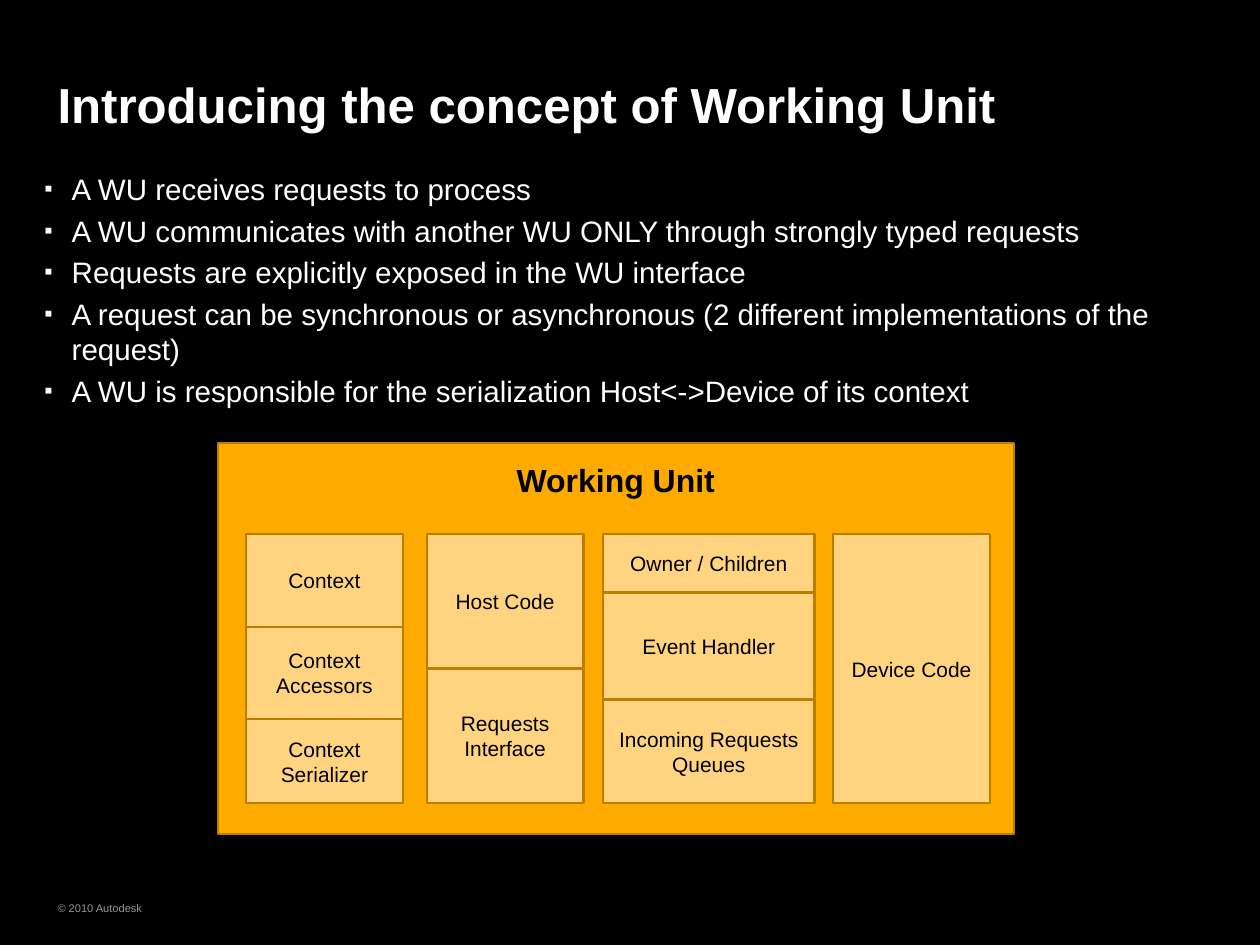
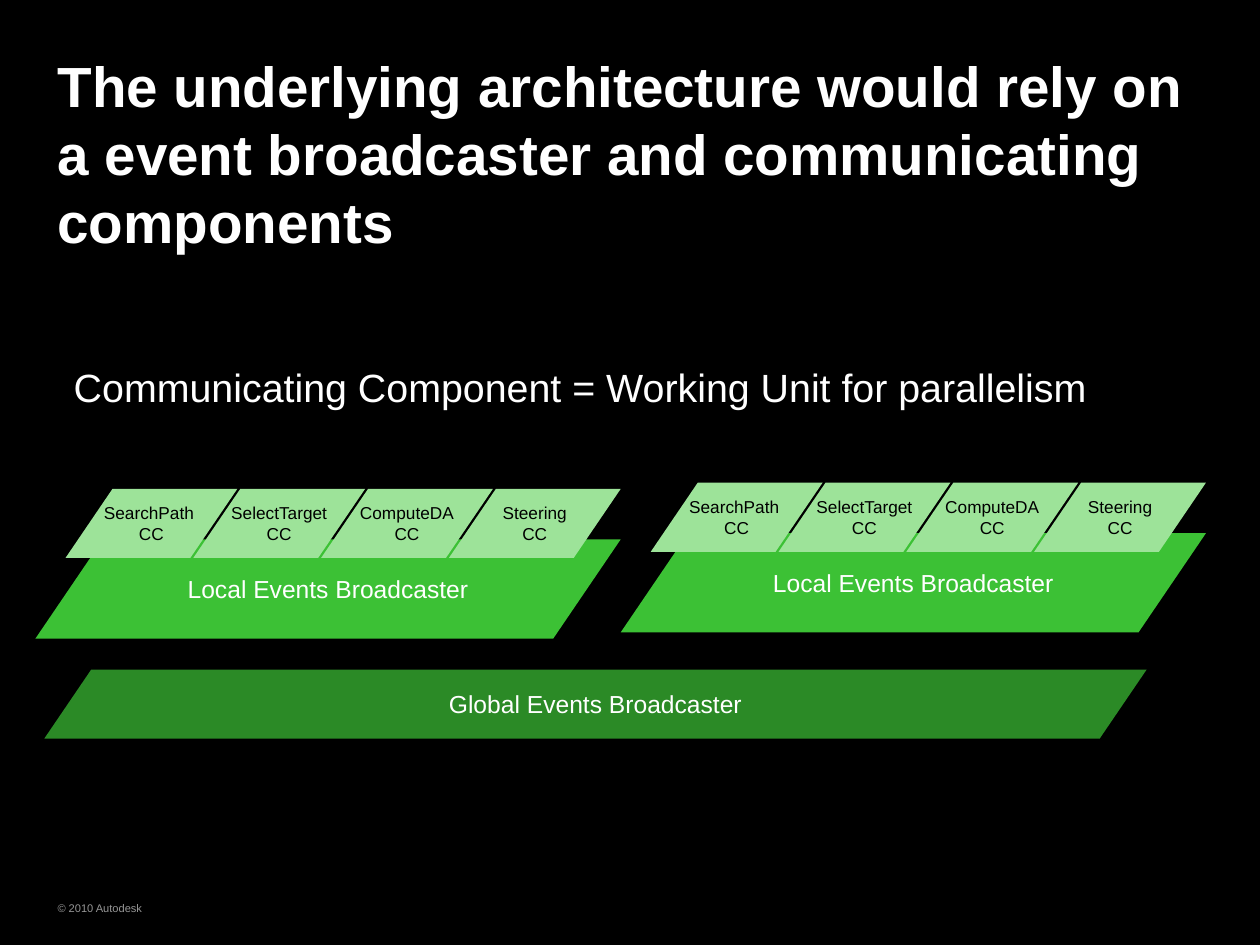
import pptx
import pptx.util
import pptx.dml.color
import pptx.enum.shapes
import pptx.enum.text
import pptx.oxml
import pptx.oxml.ns

Inches, Pt = pptx.util.Inches, pptx.util.Pt
SHAPE = pptx.enum.shapes.MSO_SHAPE
ALIGN = pptx.enum.text.PP_ALIGN
ANCHOR = pptx.enum.text.MSO_ANCHOR
FIT = pptx.enum.text.MSO_AUTO_SIZE

FONT = "Arial"
COLORS = {
    "black": "000000", "white": "FFFFFF", "footer": "969696",
    "unit": "FFAA00", "cell": "FFD480", "edge": "BD7E00",
    "global": "2B8A26", "local": "3CC135", "component": "9DE399",
}
INSETS = (0.1, 0.05, 0.1, 0.05)
WIDE_INSETS = (0.14, 0.07, 0.14, 0.07)
SLANT = 0.68


def rgb(name):
    return pptx.dml.color.RGBColor.from_string(COLORS[name])


def write(shape, text, size, color="white", bold=False, align=ALIGN.CENTER,
          anchor=ANCHOR.MIDDLE, insets=INSETS, wrap=True):
    """Fill a shape with text, one paragraph per line."""
    tf = shape.text_frame
    tf.text = text
    tf.auto_size = FIT.NONE
    tf.word_wrap = wrap
    tf.vertical_anchor = anchor
    tf.margin_left, tf.margin_top, tf.margin_right, tf.margin_bottom = map(Inches, insets)
    for p in tf.paragraphs:
        p.alignment = align
        p.font.name, p.font.size, p.font.bold = FONT, Pt(size), bold
        p.font.color.rgb = rgb(color)
    return tf


def place(shape, x, y, w, h):
    shape.left, shape.top, shape.width, shape.height = map(Inches, (x, y, w, h))


def add_box(shapes, kind, x, y, w, h, fill, edge=None):
    shape = shapes.add_shape(kind, *map(Inches, (x, y, w, h)))
    shape.shadow.inherit = False
    shape.fill.solid()
    shape.fill.fore_color.rgb = rgb(fill)
    if edge:
        shape.line.color.rgb = rgb(edge)
        shape.line.width = Pt(2)
    else:
        shape.line.fill.background()
    if kind == SHAPE.PARALLELOGRAM:
        shape.adjustments[0] = SLANT
    return shape


def add_slide(prs, layout, title, size, top):
    """Add a slide with the shared title style and footer."""
    s = prs.slides.add_slide(prs.slide_layouts[layout])
    place(s.shapes.title, 0.65, top, 12.86, 1.55)
    write(s.shapes.title, title, size, bold=True, align=ALIGN.LEFT, insets=(0, 0, 0, 0))
    footer = s.shapes.add_textbox(*map(Inches, (0.65, 10.14, 3.17, 0.22)))
    write(footer, "© 2010 Autodesk", 9, "footer", align=ALIGN.LEFT, insets=(0, 0, 0, 0))
    return s


def add_bullets(body, lines, x, y, w, h):
    place(body, x, y, w, h)
    tf = write(body, "\n".join(lines), 24, align=ALIGN.LEFT,
               anchor=ANCHOR.TOP, insets=(0, 0, 0, 0))
    bullet = (f'<a:buClr %s><a:srgbClr val="{COLORS["white"]}"/></a:buClr>',
              '<a:buSzPct %s val="80000"/>',
              f'<a:buFont %s typeface="{FONT}"/>',
              '<a:buChar %s char="▪"/>')
    for i, p in enumerate(tf.paragraphs):
        p.space_before = Pt(5 if i else 0)
        pPr = p._p.get_or_add_pPr()
        pPr.set("marL", str(Inches(0.31)))
        pPr.set("indent", str(-Inches(0.31)))
        defaults = pPr.find(pptx.oxml.ns.qn("a:defRPr"))
        for xml in bullet:
            defaults.addprevious(pptx.oxml.parse_xml(xml % pptx.oxml.ns.nsdecls("a")))


def add_working_unit(s, x, y, w, h):
    """Frame with columns of stacked cells."""
    shapes = s.shapes.add_group_shape().shapes
    frame = add_box(shapes, SHAPE.RECTANGLE, x, y, w, h, "unit", "edge")
    write(frame, "Working Unit", 26, "black", bold=True,
          anchor=ANCHOR.TOP, insets=(0.1, 0.2, 0.1, 0.05))
    # Column offset, column width, cells as (label, height)
    columns = [
        (0.32, 1.77, [("Context", 1.05), ("Context\nAccessors", 1.04),
                      ("Context\nSerializer", 0.95)]),
        (2.36, 1.77, [("Host Code", 1.52), ("Requests\nInterface", 1.52)]),
        (4.35, 2.39, [("Owner / Children", 0.66), ("Event Handler", 1.21),
                      ("Incoming Requests Queues", 1.17)]),
        (6.95, 1.77, [("Device Code", 3.04)]),
    ]
    for dx, width, cells in columns:
        top = y + 1.03
        for label, height in cells:
            cell = add_box(shapes, SHAPE.RECTANGLE, x + dx, top, width, height, "cell", "edge")
            write(cell, label, 17, "black")
            top += height


def add_local_broadcaster(s, x, y, w, h):
    """Broadcaster with a row of communicating components on its back edge."""
    shapes = s.shapes.add_group_shape().shapes
    base = add_box(shapes, SHAPE.PARALLELOGRAM, x, y + 0.57, w, h - 0.57, "local")
    write(base, "Local Events Broadcaster", 20)
    names = ["SearchPath ", "SelectTarget", "ComputeDA", "Steering"]
    width, first = 1.94, 0.34
    pitch = (w - first - width) / (len(names) - 1)
    for i, name in enumerate(names):
        part = add_box(shapes, SHAPE.PARALLELOGRAM, x + first + i * pitch, y,
                       width, 0.78, "component")
        write(part, f"{name}\nCC", 14, "black", wrap=False)


def working_unit_slide(prs):
    s = add_slide(prs, 1, "Introducing the concept of Working Unit", 40, 0.4)
    add_bullets(s.placeholders[1], [
        "A WU receives requests to process",
        "A WU communicates with another WU ONLY through strongly typed requests",
        "Requests are explicitly exposed in the WU interface",
        "A request can be synchronous or asynchronous "
        "(2 different implementations of the request)",
        "A WU is responsible for the serialization Host<->Device of its context",
    ], 0.5, 1.93, 12.78, 7.97)
    add_working_unit(s, 2.46, 5, 8.99, 4.42)


def architecture_slide(prs):
    s = add_slide(prs, 5, "The underlying architecture would rely on a event "
                  "broadcaster and communicating components", 46, 0.95)
    # Broadcasters
    base = add_box(s.shapes, SHAPE.PARALLELOGRAM, 0.5, 7.56, 12.45, 0.78, "global")
    write(base, "Global Events Broadcaster", 20, insets=WIDE_INSETS, wrap=False)
    for x, y in ((0.4, 5.52), (7.01, 5.45)):
        add_local_broadcaster(s, x, y, 6.61, 1.69)
    # Statement
    statement = s.shapes.add_textbox(*map(Inches, (0.65, 4.03, 11.82, 0.68)))
    write(statement, "Communicating Component = Working Unit for parallelism", 32,
          anchor=ANCHOR.TOP, insets=WIDE_INSETS, wrap=False)


def main():
    prs = pptx.Presentation()
    prs.slide_width, prs.slide_height = Inches(14.23), Inches(10.67)
    background = prs.slide_master.background.fill
    background.solid()
    background.fore_color.rgb = rgb("black")
    working_unit_slide(prs)
    architecture_slide(prs)
    prs.save("out.pptx")


if __name__ == "__main__":
    main()
